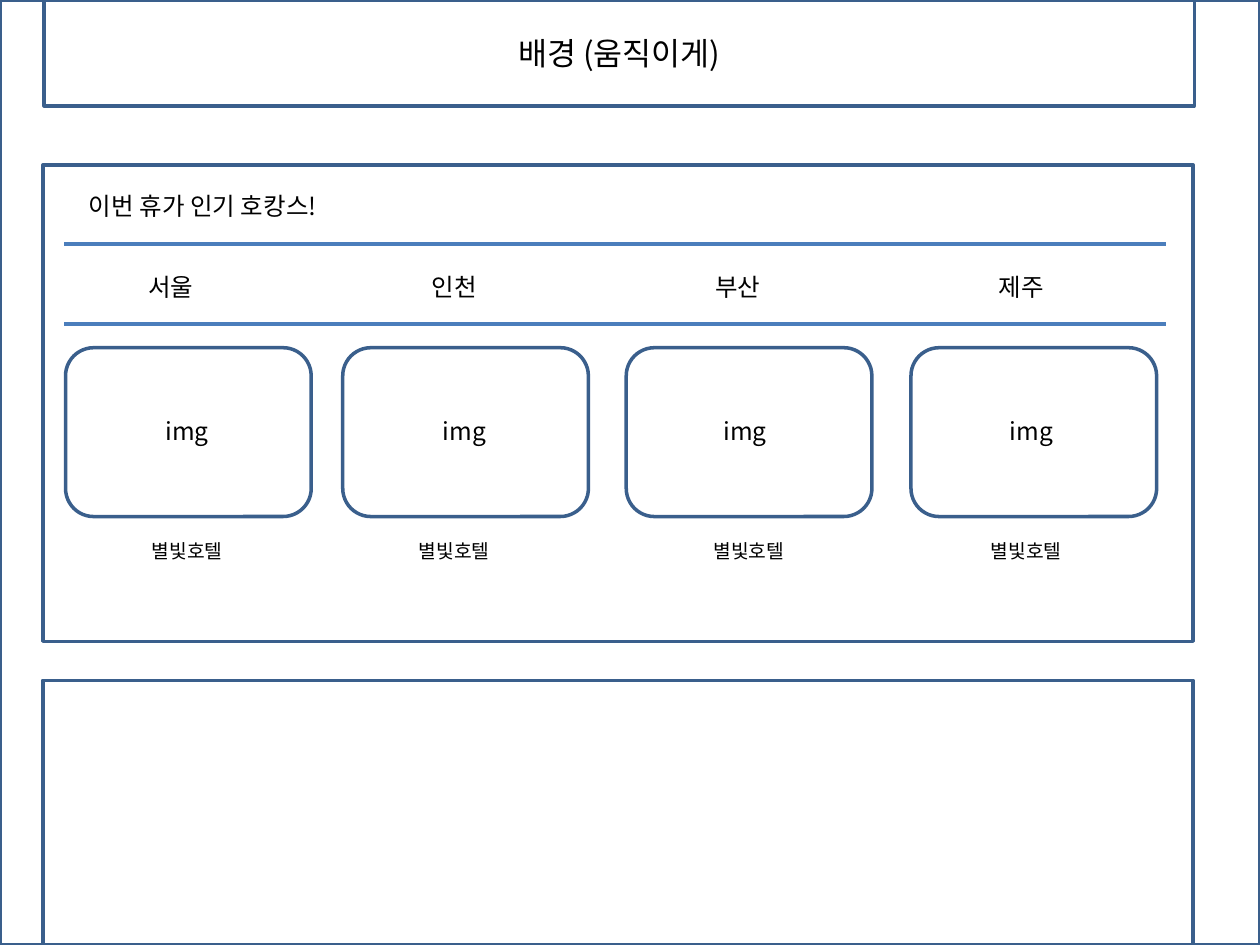
from pptx import Presentation
from pptx.dml.color import RGBColor
from pptx.enum.shapes import MSO_CONNECTOR, MSO_SHAPE
from pptx.enum.text import MSO_ANCHOR, MSO_AUTO_SIZE, PP_ALIGN
from pptx.oxml.ns import qn
from pptx.util import Inches, Pt

# The slide is a grid of 100 columns by 75 rows
COLS, ROWS = 100, 75
WIDTH, HEIGHT = Inches(10), Inches(7.5)
COLORS = {"frame": "3A5F8C", "rule": "4B7EBC", "text": "000000"}
FONT = "Noto Sans CJK KR"

CITIES = ["서울", "인천", "부산", "제주"]
CITY_LEFT, CITY_STEP = 3.7, 22.5
CARD_LEFTS = [5.2, 27.2, 49.7, 72.3]
IMG_LEFTS = [5, 27, 49.3, 72]
HOTEL_LEFTS = [5, 26.2, 49.6, 71.6]
LABEL_W = 19.7


def col(n):
    return int(WIDTH * n / COLS)


def row(n):
    return int(HEIGHT * n / ROWS)


def box(left, top, width, height):
    return col(left), row(top), col(width), row(height)


def color(name):
    return RGBColor.from_string(COLORS[name])


def write(tf, text, size):
    p = tf.paragraphs[0]
    p.alignment = PP_ALIGN.CENTER
    r = p.add_run()
    r.text = text
    r.font.size = Pt(size)
    r.font.name = FONT
    r.font.color.rgb = color("text")
    # Korean glyphs use the East Asian font slot
    ea = r.font._element.makeelement(qn("a:ea"), {"typeface": FONT})
    r.font._element.append(ea)


def add_frame(s, *area, kind=MSO_SHAPE.RECTANGLE):
    sp = s.shapes.add_shape(kind, *box(*area))
    sp.shadow.inherit = False
    sp.fill.background()
    sp.line.color.rgb = color("frame")
    sp.line.width = Pt(2)
    return sp


def add_label(s, text, size, *area):
    tf = s.shapes.add_textbox(*box(*area)).text_frame
    tf.word_wrap = True
    tf.auto_size = MSO_AUTO_SIZE.SHAPE_TO_FIT_TEXT
    write(tf, text, size)


def add_rule(s, left, right, y):
    line = s.shapes.add_connector(
        MSO_CONNECTOR.STRAIGHT, col(left), row(y), col(right), row(y))
    line.line.color.rgb = color("rule")
    line.line.width = Pt(2.25)
    sp_pr = line._element.spPr
    sp_pr.append(sp_pr.makeelement(qn("a:effectLst"), {}))


def main():
    prs = Presentation()
    prs.slide_width, prs.slide_height = WIDTH, HEIGHT
    s = prs.slides.add_slide(prs.slide_layouts[6])

    # Page border and moving background banner
    add_frame(s, 0, 0, COLS, ROWS)
    banner = add_frame(s, 3.5, 0, 91.3, 8.4)
    banner.text_frame.vertical_anchor = MSO_ANCHOR.MIDDLE
    write(banner.text_frame, "배경 (움직이게)", 18)

    # Popular hotels section
    add_frame(s, 3.4, 13.1, 91.3, 37.8)
    add_label(s, "이번 휴가 인기 호캉스!", 14, 3.5, 14.7, 25.2, 3.4)
    for y in (19.4, 25.7):
        add_rule(s, 5.1, 92.5, y)

    # One column per city: tab, image card, hotel name
    columns = zip(CITIES, CARD_LEFTS, IMG_LEFTS, HOTEL_LEFTS)
    for i, (city, card, img, hotel) in enumerate(columns):
        add_label(s, city, 14, CITY_LEFT + i * CITY_STEP, 21.1, LABEL_W, 3.4)
        add_frame(s, card, 27.6, 19.5, 13.4, kind=MSO_SHAPE.ROUNDED_RECTANGLE)
        add_label(s, "img", 14, img, 32.5, LABEL_W, 3.4)
        add_label(s, "별빛호텔", 11, hotel, 42.3, LABEL_W, 2.9)

    # Next section, still empty
    add_frame(s, 3.4, 54, 91.3, 21)

    prs.save("out.pptx")


if __name__ == "__main__":
    main()
